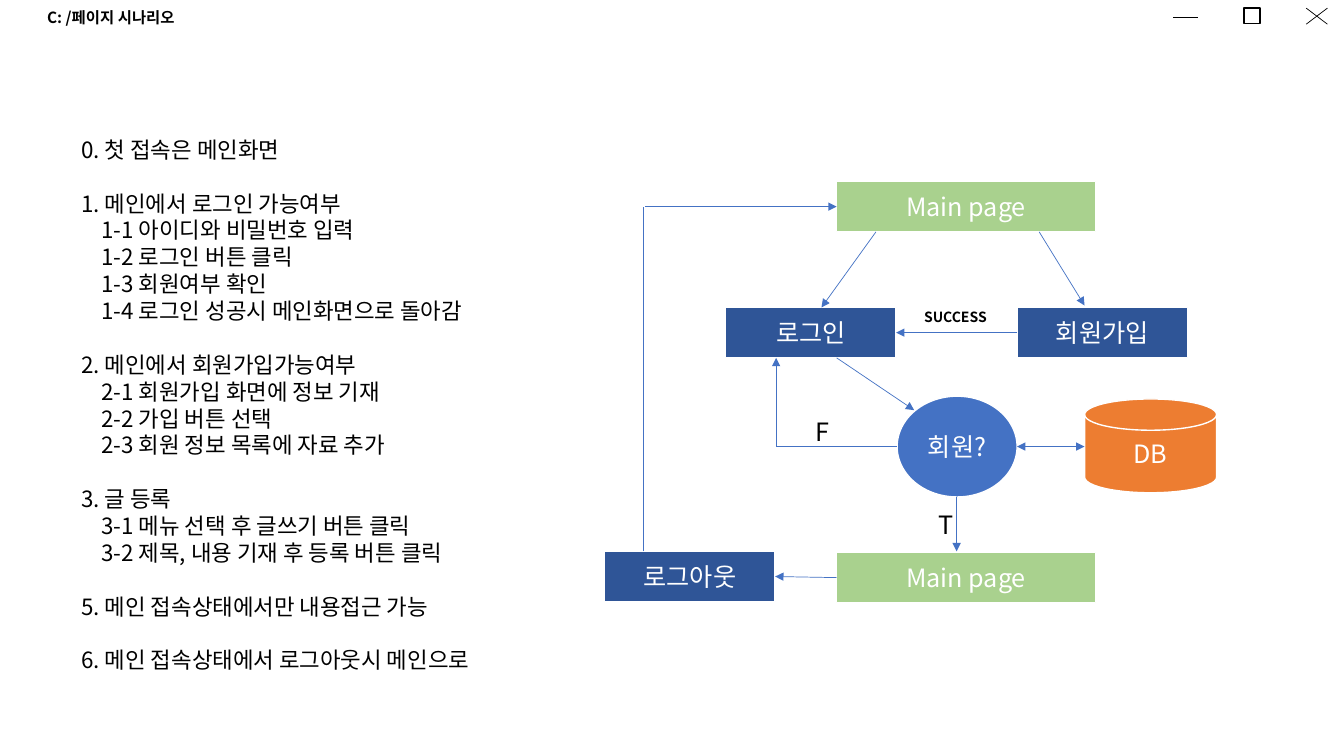
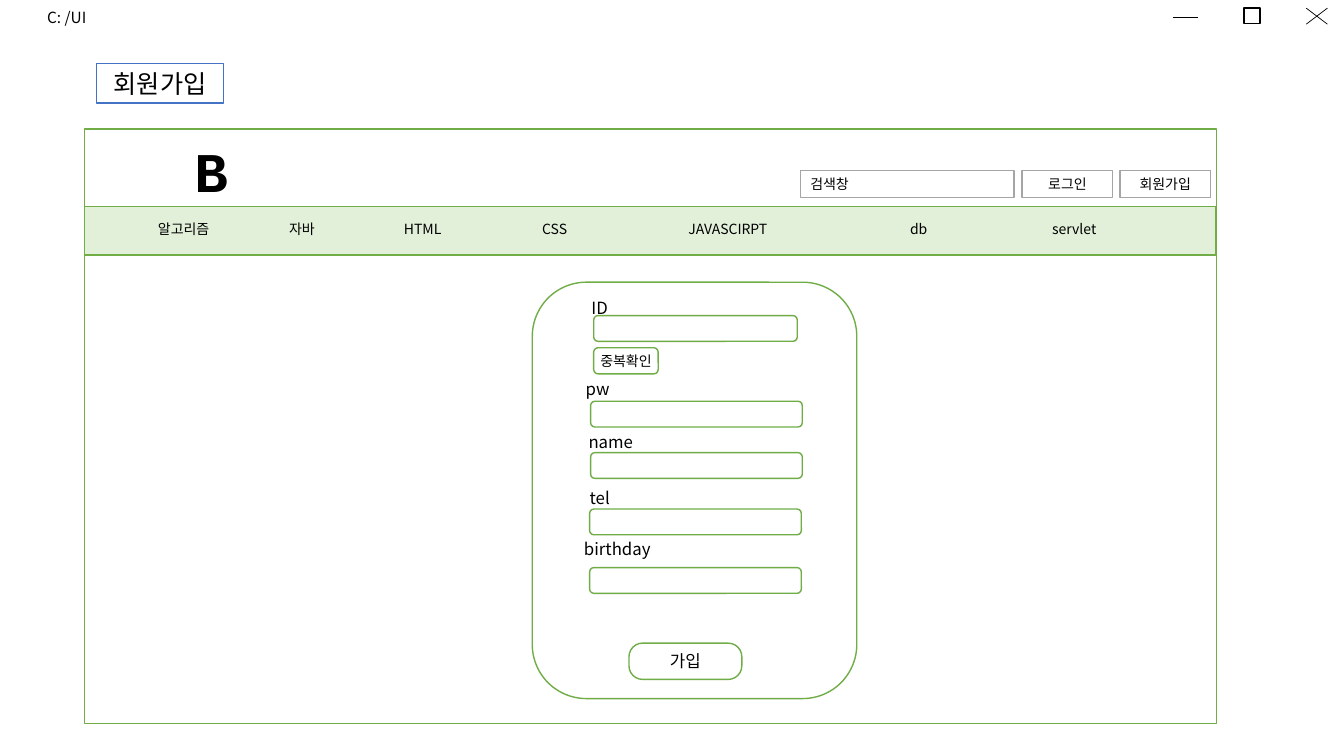
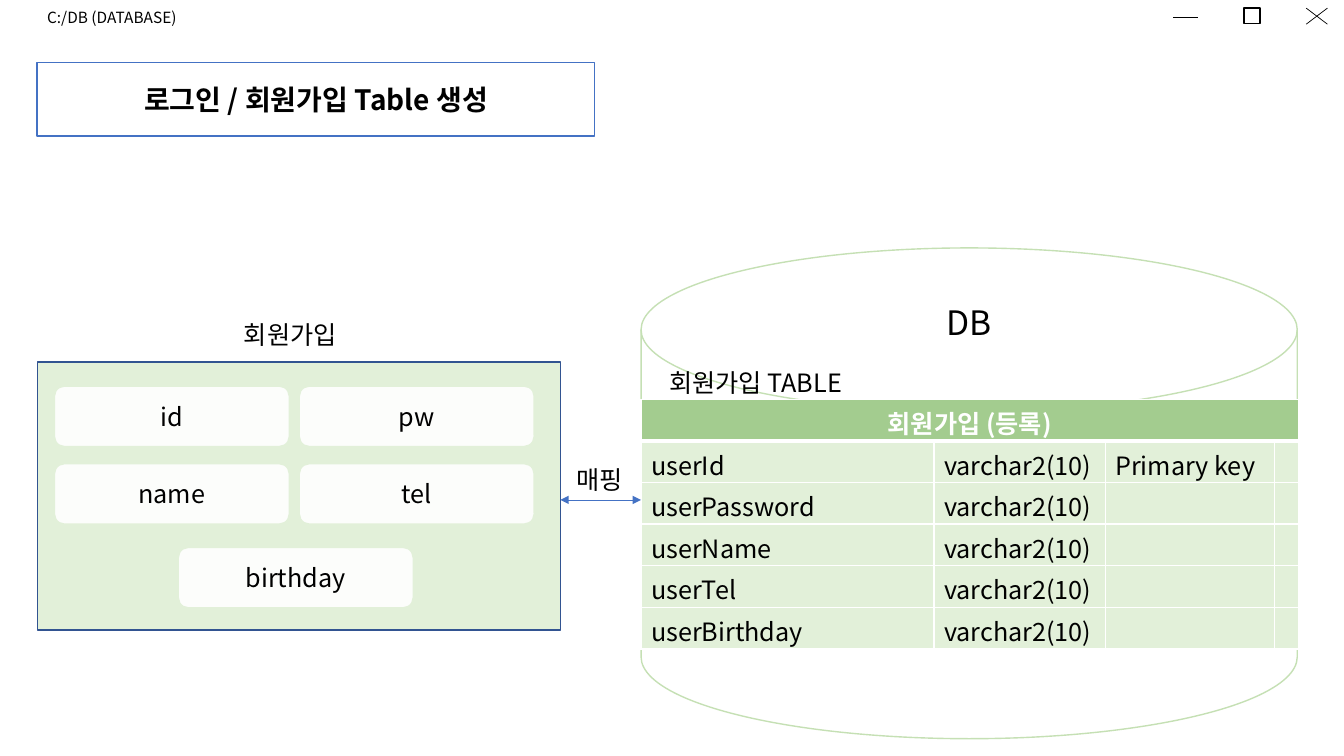
from lxml.etree import SubElement
from pptx import Presentation
from pptx.dml.color import RGBColor
from pptx.enum.shapes import MSO_CONNECTOR, MSO_SHAPE as Kind
from pptx.enum.text import MSO_ANCHOR as Anchor, PP_ALIGN as Align
from pptx.oxml.ns import qn
from pptx.util import Pt

rgb = RGBColor.from_string
FONT = "Noto Sans CJK KR"
BLACK, WHITE = "000000", "FFFFFF"
BLUE, NAVY, GRAY = "4472C4", "2F5597", "A5A5A5"
GREEN, LIME, PALE = "70AD47", "A9D18E", "E2F0D9"
RECT, ROUND, DISK = Kind.RECTANGLE, Kind.ROUNDED_RECTANGLE, Kind.FLOWCHART_MAGNETIC_DISK


def write(frame, text, size=18, color=BLACK, bold=False, align=Align.LEFT, font=FONT):
    frame.text = text
    for para in frame.paragraphs:
        para.alignment = align
        for run in para.runs:
            run.font.name = font
            run.font.size = Pt(size)
            run.font.bold = bold
            run.font.color.rgb = rgb(color)
            SubElement(run.font._element, qn("a:ea")).set("typeface", font)


def put(slide, x, y, w, h, text="", kind=None, fill=None, line=None, pad=7.2,
        anchor=Anchor.TOP, **form):
    place = Pt(x), Pt(y), Pt(w), Pt(h)
    if kind is None:
        shape = slide.shapes.add_textbox(*place)
    else:
        shape = slide.shapes.add_shape(kind, *place)
        shape.shadow.inherit = False
        if fill:
            shape.fill.solid()
            shape.fill.fore_color.rgb = rgb(fill)
        else:
            shape.fill.background()
        shape.line.color.rgb = rgb(line)
        shape.line.width = Pt(1)
    if text:
        frame = shape.text_frame
        frame.word_wrap = True
        frame.vertical_anchor = anchor
        frame.margin_left = frame.margin_right = Pt(pad)
        write(frame, text, **form)
    return shape


deck = Presentation()
deck.slide_width, deck.slide_height = Pt(960), Pt(540)
links = []
slides = []
for title, bold in (("C: /페이지 시나리오", True), ("C: /UI", False), ("C:/DB (DATABASE)", False)):
    slide = deck.slides.add_slide(deck.slide_layouts[6])
    slides.append(slide)
    put(slide, 26.6, 2.2, 235, 21, title, size=11, bold=bold)
    put(slide, 888.5, 5.8, 11.5, 10.8, kind=RECT, fill=WHITE, line=BLACK)
    links += [
        (slide, 838, 12.2, 855.4, 12.2, BLACK, "", None, None),
        (slide, 933, 5.8, 948.2, 17.3, BLACK, "", None, None),
        (slide, 948.2, 5.8, 933, 17.3, BLACK, "", None, None),
    ]
flow, form, data = slides
mid = dict(align=Align.CENTER, anchor=Anchor.MIDDLE)

steps = [
    "0. 첫 접속은 메인화면",
    "1. 메인에서 로그인 가능여부",
    "1-1 아이디와 비밀번호 입력",
    "1-2 로그인 버튼 클릭",
    "1-3 회원여부 확인",
    "1-4 로그인 성공시 메인화면으로 돌아감",
    "2. 메인에서 회원가입가능여부",
    "2-1 회원가입 화면에 정보 기재",
    "2-2 가입 버튼 선택",
    "2-3 회원 정보 목록에 자료 추가",
    "3. 글 등록",
    "3-1 메뉴 선택 후 글쓰기 버튼 클릭",
    "3-2 제목, 내용 기재 후 등록 버튼 클릭",
    "5. 메인 접속상태에서만 내용접근 가능",
    "6. 메인 접속상태에서 로그아웃시 메인으로",
]
plan = put(flow, 51, 93.6, 464, 417, "\n".join(steps), size=16)
for para in plan.text_frame.paragraphs[1:]:
    if para.text[1] == "-":
        para._p.get_or_add_pPr().set("marL", str(Pt(14.3)))
    else:
        para.space_before = Pt(19.2)

nodes = {}
for key, text, kind, fill, x, y, w, h in (
    ("home", "Main page", RECT, LIME, 597.6, 129.6, 185, 36),
    ("login", "로그인", RECT, NAVY, 518.4, 219.6, 121.7, 36),
    ("join", "회원가입", RECT, NAVY, 726.5, 219.6, 121.7, 36),
    ("check", "회원?", Kind.OVAL, BLUE, 640.8, 283, 85.7, 72),
    ("store", "DB", DISK, "ED7D31", 774.7, 285, 94.3, 67),
    ("main", "Main page", RECT, LIME, 597.6, 394.6, 185, 36),
    ("logout", "로그아웃", RECT, NAVY, 432, 393.8, 121.7, 36),
):
    nodes[key] = put(flow, x, y, w, h, text, kind, fill, WHITE, color=WHITE, **mid)
put(flow, 653, 216.7, 121.7, 19.4, "SUCCESS", size=10, bold=True)
put(flow, 575.3, 293.8, 41, 28.8, "F")
put(flow, 663.1, 360, 37.4, 28.8, "T")

for x1, y1, x2, y2, ends, start, stop in (
    (625.7, 165.6, 586.8, 219.6, "t", None, None),
    (742.3, 165.6, 774.7, 218.2, "t", None, None),
    (597.6, 255.6, 653, 293, "t", None, None),
    (726.5, 237.6, 640.1, 237.6, "t", ("join", 1), ("login", 3)),
    (640.8, 319, 555, 319, "", None, None),
    (554.4, 319, 554.4, 255.6, "t", None, None),
    (726.5, 319, 774.7, 319, "ht", None, None),
    (683.3, 355, 683.3, 393.8, "t", None, None),
    (597.6, 412.6, 553.7, 412.6, "t", ("main", 1), ("logout", 3)),
    (459.4, 393.8, 459.4, 147.6, "", None, None),
    (460.8, 147.6, 597.6, 147.6, "t", None, ("home", 1)),
):
    links.append((flow, x1, y1, x2, y2, BLUE, ends, start, stop))

put(form, 60.5, 92.2, 808.6, 424.8, kind=RECT, fill=WHITE, line=GREEN)
put(form, 60.5, 147.6, 807.8, 34.6, kind=RECT, fill=PALE, line=GREEN)
for y in (147.6, 182.2):
    links.append((form, 60.5, y, 868.7, y, GREEN, "", None, None))
put(form, 69, 45.4, 90.7, 28.1, "회원가입", RECT, WHITE, BLUE, align=Align.CENTER)
put(form, 131.8, 94.3, 65.5, 55.4, "B", size=40, bold=True, font="Courier New")

for x, text in ((105.8, "알고리즘"), (199.4, "자바"), (281.5, "HTML"), (380.2, "CSS"),
                (484.6, "JAVASCIRPT"), (643, "db"), (744.5, "servlet")):
    put(form, x, 154.1, 79.2, 19.4, text, size=10)
for x, w, text, align in ((571.7, 152.6, "검색창", Align.LEFT),
                          (730.1, 64.8, "로그인", Align.CENTER),
                          (799.9, 64.8, "회원가입", Align.CENTER)):
    put(form, x, 121.7, w, 19.4, text, RECT, WHITE, GRAY, size=10, align=align)

box = dict(kind=ROUND, fill=WHITE, line=GREEN)
put(form, 380.2, 201.6, 231.8, 297.4, **box)
for text, tx, ty, tw, x, y, w in (
    ("ID", 398.9, 208.8, 59, 424.1, 225.4, 145.4),
    ("pw", 397.4, 267.1, 59, 421.9, 286.6, 151.2),
    ("name", 406.8, 304.6, 59, 421.9, 323.3, 151.2),
    ("tel", 398.9, 344.9, 59, 421.2, 363.6, 151.2),
    ("birthday", 402.5, 381.6, 77, 421.2, 405.4, 151.2),
):
    put(form, x, y, w, 18.4, **box)
    put(form, tx, ty, tw, 20.9, text, size=12, align=Align.CENTER)
put(form, 424.1, 248.4, 46.1, 18.7, "중복확인", size=10, pad=0, **box, **mid)
send = put(form, 449.3, 459.4, 80.6, 25.9, "가입", size=12, **box, **mid)
send.adjustments[0] = 0.375

put(data, 26.6, 258.5, 373.7, 191.5, kind=RECT, fill=PALE, line="325491")
put(data, 457.9, 177.1, 468.7, 350.6, kind=DISK, line="C5E0B4")
put(data, 26.6, 44.6, 398.2, 52.6, "로그인 / 회원가입 Table 생성", RECT, WHITE, BLUE,
    size=20, bold=True, **mid)
for text, x, y in (("id", 38.9, 275.8), ("pw", 213.8, 275.8), ("name", 38.9, 331.2),
                   ("tel", 213.8, 331.2), ("birthday", 127.4, 391)):
    chip = put(data, x, y, 167.8, 43.2, text, ROUND, WHITE, PALE, **mid)
    tint = chip._element.spPr.find(qn("a:solidFill"))[0]
    SubElement(tint, qn("a:alpha")).set("val", "91000")

rows = [("회원가입 (등록)", "", "", "")]
for name in ("Id", "Password", "Name", "Tel", "Birthday"):
    rows.append(("user" + name, "varchar2(10)", "Primary key" if name == "Id" else "", ""))
grid = data.shapes.add_table(6, 4, Pt(457.9), Pt(285.1), Pt(468.7), Pt(178.6)).table
grid.horz_banding = False
for col, w in zip(grid.columns, (209.3, 122.2, 120.8, 16.4)):
    col.width = Pt(w)
for r, row in enumerate(rows):
    grid.rows[r].height = Pt(29.76)
    for c, text in enumerate(row):
        cell = grid.cell(r, c)
        props = cell._tc.get_or_add_tcPr()
        for side in "LRTB":
            thick = (r, side) in ((0, "B"), (1, "T"))
            edge = SubElement(props, qn("a:ln" + side), w=str(Pt(3 if thick else 1)))
            paint = SubElement(edge, qn("a:solidFill"))
            SubElement(paint, qn("a:srgbClr")).set("val", WHITE)
        cell.fill.solid()
        cell.fill.fore_color.rgb = rgb(PALE if r else "A3CC8F")
        if r:
            write(cell.text_frame, text)
        elif text:
            write(cell.text_frame, text, color=WHITE, bold=True, align=Align.CENTER)
grid.cell(0, 0).merge(grid.cell(0, 3))

put(data, 470.9, 258.5, 200.9, 28.8, "회원가입 TABLE")
for text, x, y, w, size in (("회원가입", 113.8, 224.6, 187.2, 18),
                            ("DB", 583.2, 212.4, 218.2, 24),
                            ("매핑", 389.5, 328.3, 77.8, 18)):
    put(data, x, y, w, size * 1.6, text, size=size, align=Align.CENTER)
links.append((data, 400.3, 357.1, 457.9, 357.1, BLUE, "ht", None, None))

for slide, x1, y1, x2, y2, color, ends, start, stop in links:
    link = slide.shapes.add_connector(MSO_CONNECTOR.STRAIGHT, Pt(x1), Pt(y1), Pt(x2), Pt(y2))
    link.line.color.rgb = rgb(color)
    link.line.width = Pt(0.5)
    props = link._element.spPr
    for end, tag in (("h", "a:headEnd"), ("t", "a:tailEnd")):
        if end in ends:
            SubElement(props.find(qn("a:ln")), qn(tag)).set("type", "triangle")
    SubElement(props, qn("a:effectLst"))
    if start:
        link.begin_connect(nodes[start[0]], start[1])
    if stop:
        link.end_connect(nodes[stop[0]], stop[1])

deck.save("out.pptx")
